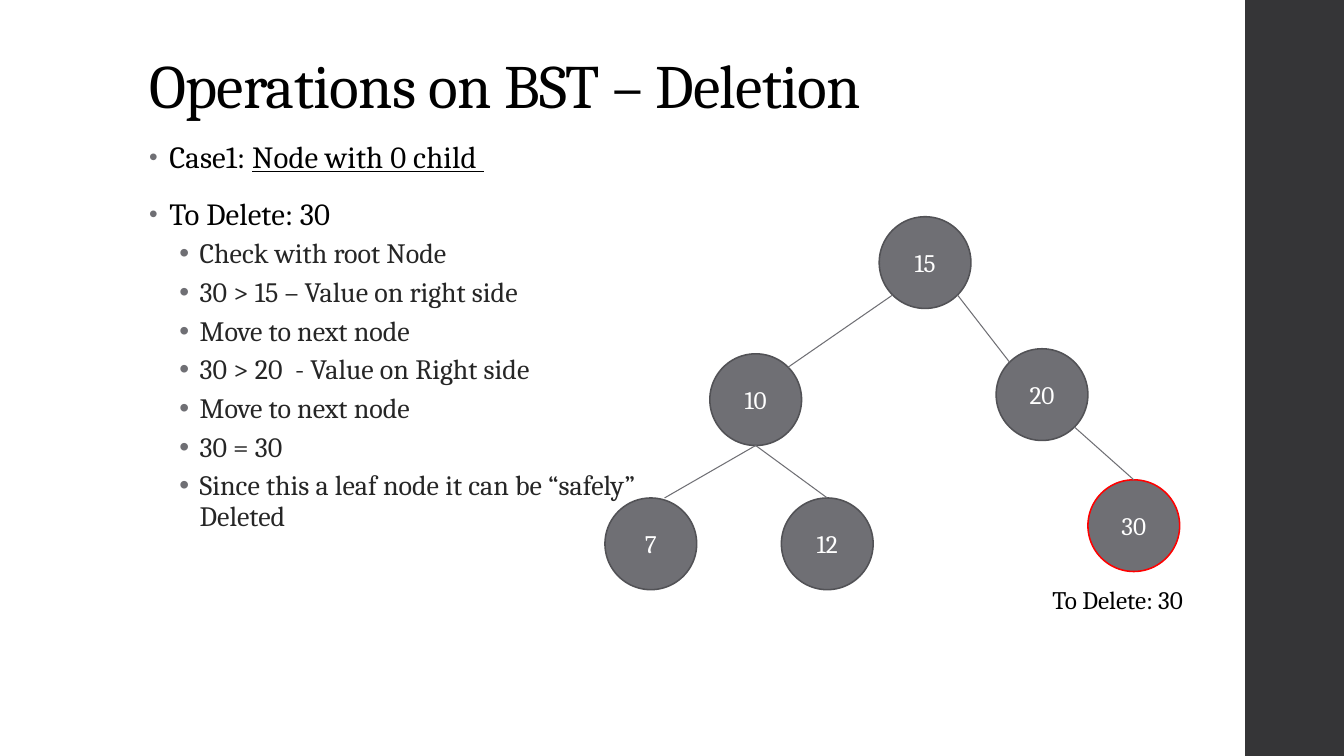
from lxml.etree import SubElement as Sub
from pptx import Presentation
from pptx.dml.color import RGBColor as Rgb
from pptx.enum.shapes import MSO_CONNECTOR as Link, MSO_SHAPE as Kind
from pptx.enum.text import MSO_ANCHOR as Anchor, MSO_AUTO_SIZE as Fit, PP_ALIGN as Align
from pptx.oxml.ns import qn
from pptx.util import Inches, Pt

COLORS = {"ink": "000000", "soft": "262626", "gray": "6F6F74", "edge": "525256",
          "dark": "353537", "red": "FF0000", "white": "FFFFFF"}
SIZE = 0.91
SITES = {"top": (0.5, 0), "low": (0.5, 1), "nw": (0.146, 0.146),
         "ne": (0.854, 0.146), "sw": (0.146, 0.854), "se": (0.854, 0.854),
         "side": (0.65, 0)}
NODES = {"15": (8.72, 2.15), "10": (7.04, 3.51), "20": (9.88, 3.46),
         "30": (10.79, 4.76), "7": (6, 4.94), "12": (7.75, 4.94)}
LINKS = [("15", "sw", "10", "ne"), ("15", "se", "20", "nw"), ("20", "se", "30", "top"),
         ("10", "low", "7", "side"), ("10", "low", "12", "top")]
HEADS = [[("Case1: ", False), ("Node with 0 child ", True)], [("To Delete: 30", False)]]
STEPS = ["Check with root Node", "30 > 15 – Value on right side", "Move to next node",
         "30 > 20  - Value on Right side", "Move to next node", "30 = 30",
         "Since this a leaf node it can be “safely” Deleted"]


class Deck:
    font = "Cambria"

    def __init__(self):
        self.file = Presentation()
        self.file.slide_width = Inches(13.33)
        self.file.slide_height = Inches(7.5)
        self.slide = self.file.slides.add_slide(self.file.slide_layouts[1])

    def color(self, name):
        return Rgb.from_string(COLORS[name])

    def run(self, para, text, size, color, gap=0, under=False):
        run = para.add_run()
        run.text = text
        run.font.name = self.font
        run.font.size = Pt(size)
        run.font.color.rgb = self.color(color)
        if under:
            run.font.underline = True
        if gap:
            run.font._element.set("spc", str(gap))

    def place(self, shape, left, top, width, height, anchor):
        shape.left, shape.top = Inches(left), Inches(top)
        shape.width, shape.height = Inches(width), Inches(height)
        frame = shape.text_frame
        frame.auto_size = Fit.NONE
        frame.word_wrap = True
        frame.vertical_anchor = anchor
        return frame

    def title(self, text):
        frame = self.place(self.slide.shapes.title, 1.38, 0.4, 10.6, 0.86, Anchor.BOTTOM)
        para = frame.paragraphs[0]
        para.alignment = Align.LEFT
        para.line_spacing = 0.9
        self.run(para, text, 44, "ink", -50)

    def bullet(self, para, level, indent, line, before, after, scale):
        para.level = level
        para.line_spacing = line
        para.space_before, para.space_after = Pt(before), Pt(after)
        props = para._p.get_or_add_pPr()
        props.set("marL", str(Inches(indent)))
        props.set("indent", str(Inches(-0.2)))
        tint = Sub(props, qn("a:buClr"))
        Sub(tint, qn("a:srgbClr"), val=COLORS["gray"])
        Sub(props, qn("a:buSzPct"), val=str(scale * 1000))
        Sub(props, qn("a:buFont"), typeface="Arial")
        Sub(props, qn("a:buChar"), char="•")

    def body(self, heads, steps):
        frame = self.place(self.slide.placeholders[1], 1.38, 1.34, 5.08, 5.76, Anchor.TOP)
        para = frame.paragraphs[0]
        for spot, parts in enumerate(heads):
            if spot:
                para = frame.add_paragraph()
            self.bullet(para, 0, 0.2, 0.95, 14, 2, 80)
            for text, under in parts:
                self.run(para, text, 22, "ink", 10, under)
        for text in steps:
            para = frame.add_paragraph()
            self.bullet(para, 1, 0.5, 0.9, 3, 3, 100)
            self.run(para, text, 20, "soft")

    def shape(self, kind, left, top, width, height, fill, edge=None):
        shape = self.slide.shapes.add_shape(
            kind, Inches(left), Inches(top), Inches(width), Inches(height))
        shape.shadow.inherit = False
        shape.fill.solid()
        shape.fill.fore_color.rgb = self.color(fill)
        if edge:
            shape.line.color.rgb = self.color(edge)
            shape.line.width = Pt(1.1)
        else:
            shape.line.fill.background()
        return shape

    def node(self, text, left, top, edge):
        shape = self.shape(Kind.OVAL, left, top, SIZE, SIZE, "gray", edge)
        frame = shape.text_frame
        frame.vertical_anchor = Anchor.MIDDLE
        para = frame.paragraphs[0]
        para.alignment = Align.CENTER
        self.run(para, text, 18, "white")

    def link(self, start, end):
        line = self.slide.shapes.add_connector(
            Link.STRAIGHT, *[Inches(num) for num in (*start, *end)])
        line.line.color.rgb = self.color("gray")
        line.line.width = Pt(0.75)
        Sub(line._element.spPr, qn("a:effectLst"))

    def label(self, text, left, top, width, height):
        box = self.slide.shapes.add_textbox(
            Inches(left), Inches(top), Inches(width), Inches(height))
        box.text_frame.word_wrap = False
        box.text_frame.auto_size = Fit.SHAPE_TO_FIT_TEXT
        self.run(box.text_frame.paragraphs[0], text, 18, "ink")


def point(node, site):
    return [base + SIZE * part for base, part in zip(NODES[node], SITES[site])]


def main():
    deck = Deck()
    deck.shape(Kind.RECTANGLE, 12.35, 0, 0.98, 7.5, "dark")
    deck.title("Operations on BST – Deletion")
    deck.body(HEADS, STEPS)
    for text, (left, top) in NODES.items():
        deck.node(text, left, top, "red" if text == "30" else "edge")
    for head, out, tail, into in LINKS:
        deck.link(point(head, out), point(tail, into))
    deck.label("To Delete: 30", 10.34, 5.75, 1.81, 0.4)
    deck.file.save("out.pptx")


if __name__ == "__main__":
    main()
